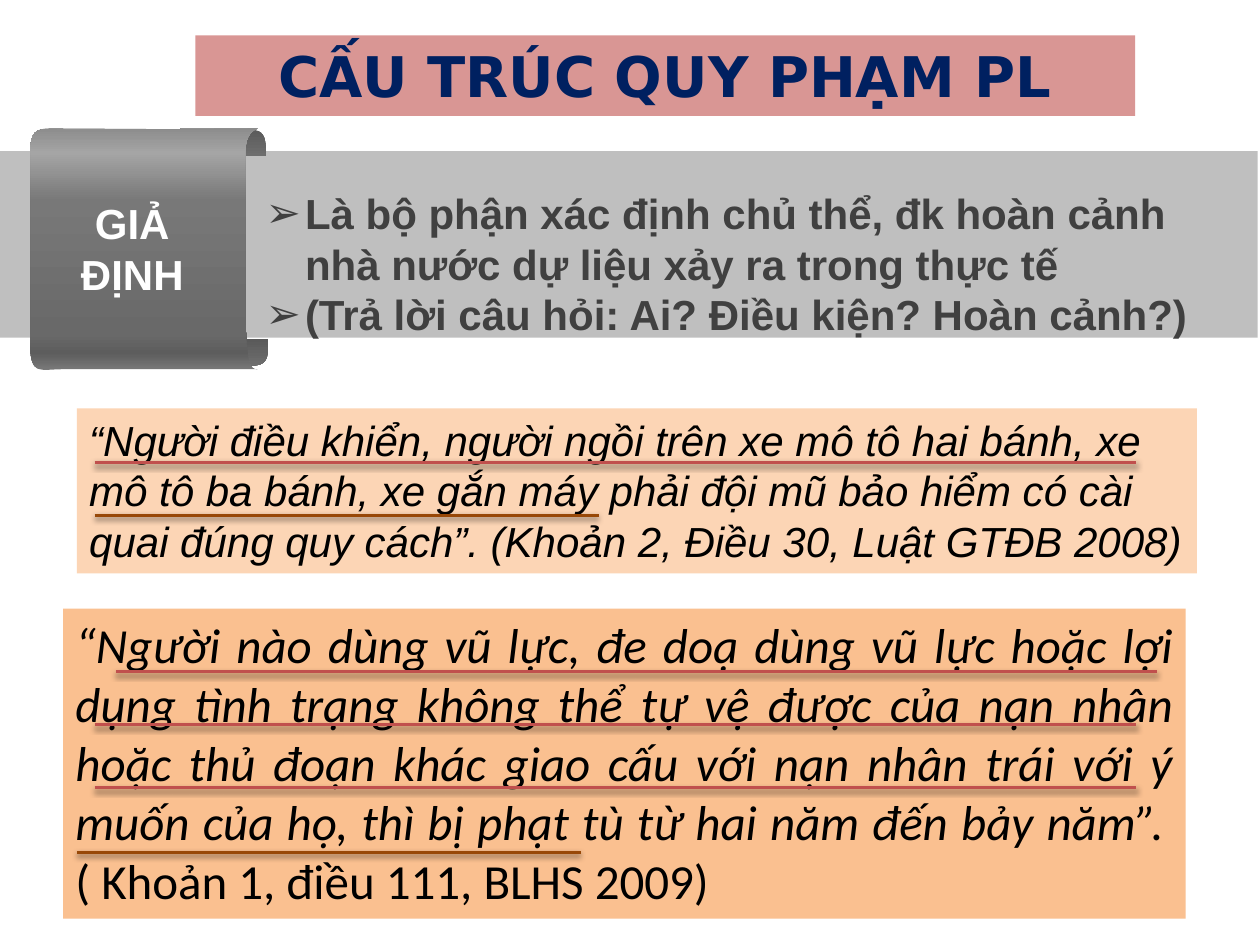
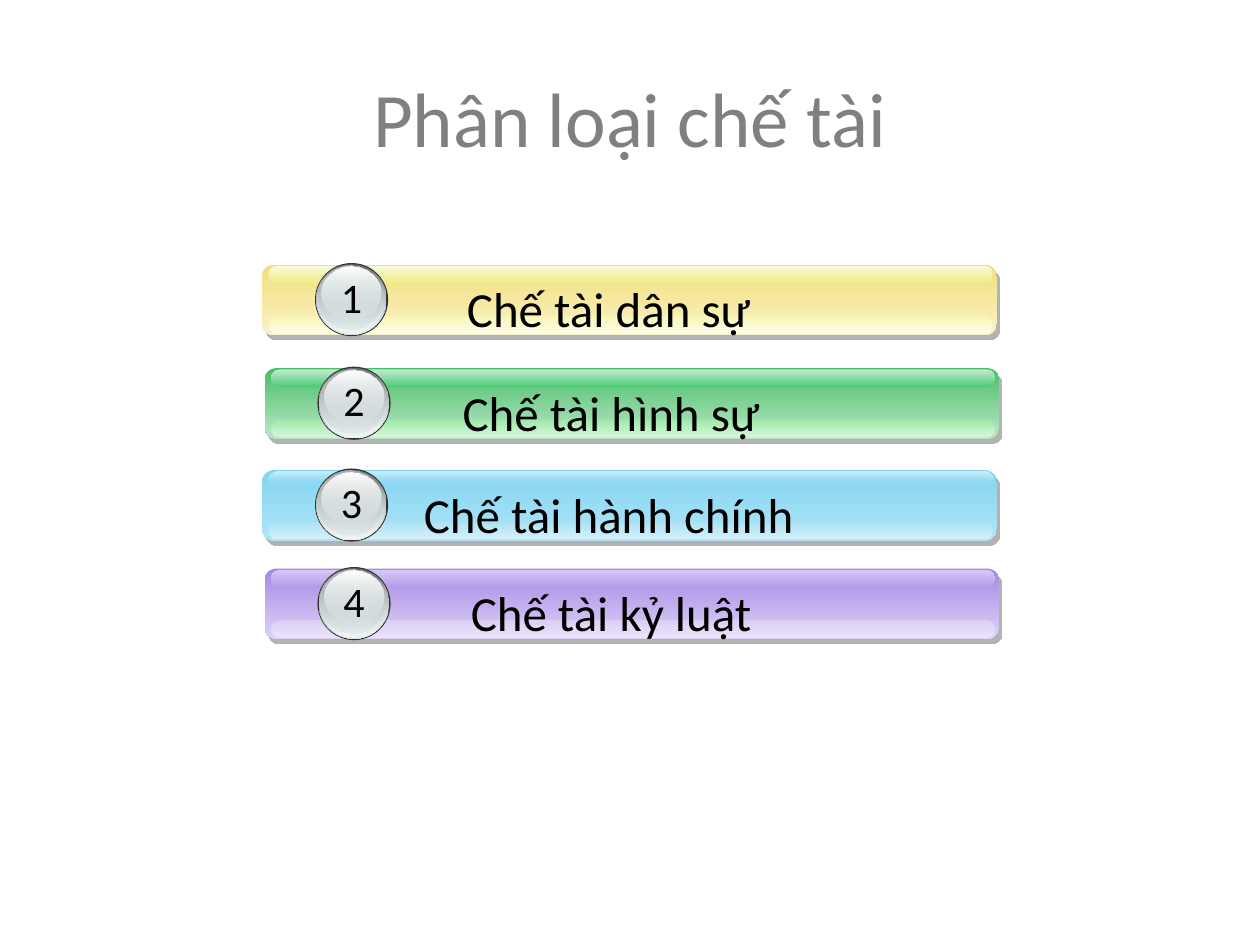
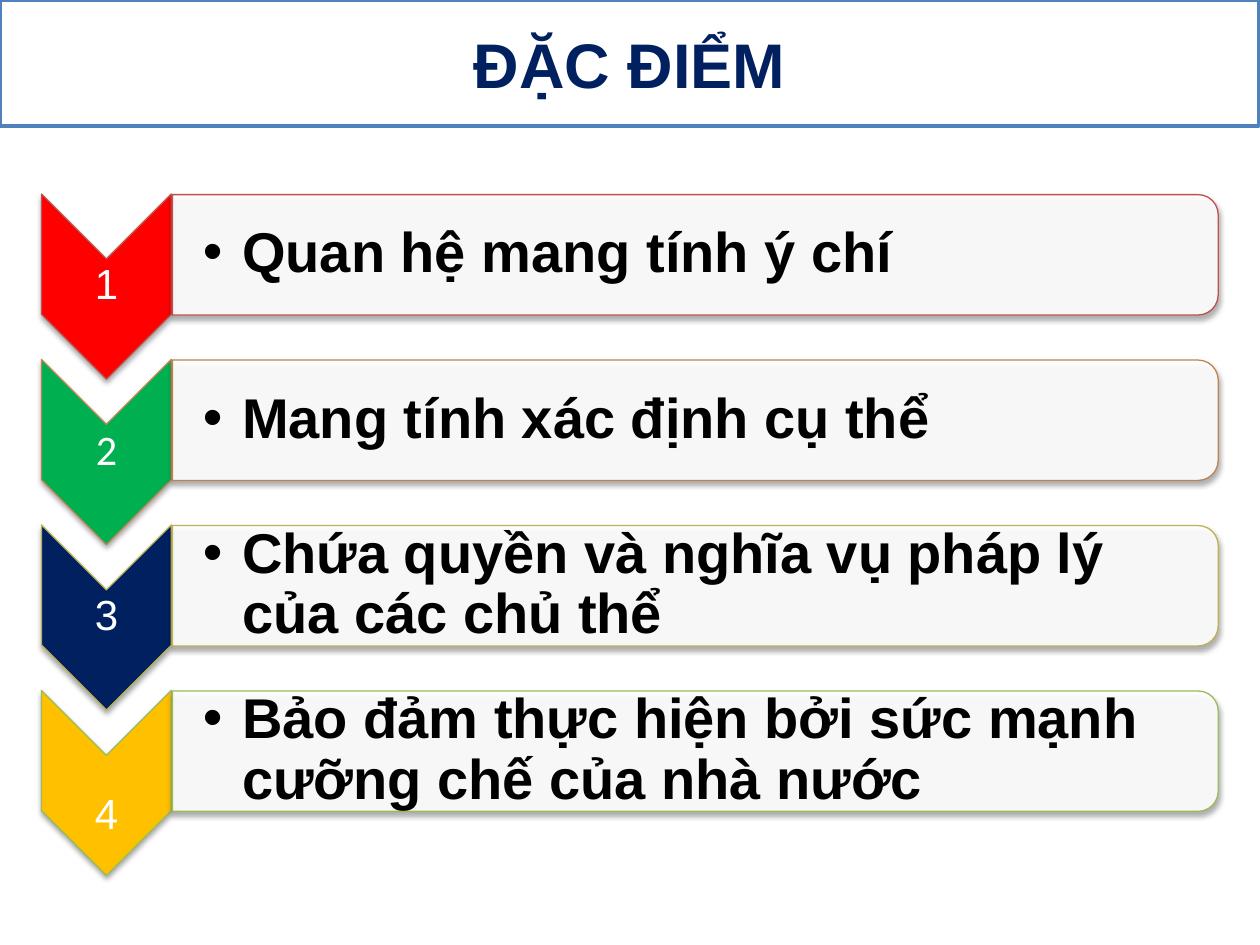
from pptx import Presentation
from pptx.dml.color import RGBColor
from pptx.enum.shapes import MSO_CONNECTOR, MSO_SHAPE
from pptx.enum.text import MSO_ANCHOR, PP_ALIGN
from pptx.oxml.ns import qn
from pptx.util import Pt
from lxml import etree

RECTANGLE = MSO_SHAPE.RECTANGLE
ROUNDED = MSO_SHAPE.ROUNDED_RECTANGLE
PANEL = MSO_SHAPE.ROUND_2_SAME_RECTANGLE
OVAL = MSO_SHAPE.OVAL
CHEVRON = MSO_SHAPE.CHEVRON
STRAIGHT = MSO_CONNECTOR.STRAIGHT
TOP, MIDDLE = MSO_ANCHOR.TOP, MSO_ANCHOR.MIDDLE
LEFT, CENTER, JUSTIFY = PP_ALIGN.LEFT, PP_ALIGN.CENTER, PP_ALIGN.JUSTIFY

COLORS = {
    "white": "FFFFFF", "black": "000000", "navy": "002060", "gray": "808080",
    "dark gray": "404040", "band": "BFBFBF", "rose": "D99694",
    "peach": "FCD5B5", "orange": "FAC090", "blue": "4F81BD",
    "red line": "C0504D", "brown line": "984807", "rim": "333333",
    "bar shadow": "B2B2B2", "red": "FF0000", "green": "00B050",
    "gold": "FFC000", "copper line": "BE8351", "olive line": "BDB255",
    "green line": "9BBB59",
}

FORMATS = {
    "banner": ({"name": "DejaVu Sans", "size": Pt(32), "bold": True}, "navy"),
    "scroll": ({"name": "Arial", "size": Pt(24), "bold": True}, "white"),
    "definition": ({"name": "Arial", "size": Pt(24), "bold": True}, "dark gray"),
    "traffic law": ({"name": "Arial", "size": Pt(24), "italic": True}, "black"),
    "penal law": ({"name": "Calibri", "size": Pt(28), "italic": True}, "black"),
    "citation": ({"name": "Calibri", "size": Pt(28), "italic": False}, "black"),
    "title": ({"name": "Calibri", "size": Pt(44)}, "gray"),
    "bar": ({"name": "Calibri", "size": Pt(28)}, "black"),
    "ball": ({"name": "Calibri", "size": Pt(24)}, "black"),
    "heading": ({"name": "Arial", "size": Pt(36), "bold": True}, "navy"),
    "step": ({"name": "Arial", "size": Pt(24)}, "white"),
    "step two": ({"name": "Calibri", "size": Pt(24)}, "white"),
    "feature": ({"name": "Arial", "size": Pt(32), "bold": True}, "black"),
}

LINE_SHADOW = ("black", 38, 3.1, 1.6, 90)
STEP_SHADOW = ("black", 35, 3.1, 1.8, 90)
BAR_SHADOW = ("bar shadow", 100, 0, 3.6, 56)
INSETS = (7.2, 3.6, 7.2, 3.6)
STEP_INSETS = (1.5, 1.5, 1.5, 1.5)
FEATURE_INSETS = (18, 1.5, 1.5, 1.5)

CURL_STOPS = [(0, "5A5A5A"), (100, "6E6E6E")]
SCROLL_STOPS = [(0, "787878"), (7, "5D5D5D"), (15, "696969"),
                (70, "787878"), (90, "A5A5A5"), (100, "8C8C8C")]

BALL_LAYERS = [
    (0.7, 0.7, 40.3, 40.3, [(0, "636869"), (100, "D6E1E2")]),
    (0.9, 0.8, 39.6, 39.6, [(0, "D6E1E2", 0), (100, "F1F5F5")]),
    (1.4, 1.4, 37.4, 36.7, [(0, "AAB2B3"), (100, "D6E1E2", 48)]),
    (3.8, 2.2, 33.8, 29.5, [(0, "FFFFFF"), (100, "D6E1E2", 38)]),
]

SANCTIONS = [
    ("Chế tài dân sự", 149.8, 151.2, [(0, "F2DE78"), (100, "FAF2CA")],
     [(0, "FAFADE"), (100, "EDED85")], [(0, "F8F6B4"), (100, "FDFDEA")]),
    ("Chế tài hình sự", 151.2, 210.4, [(0, "48BE67"), (100, "BCE7C8")],
     [(0, "C4EDD1"), (100, "4DC976")], [(0, "9FE9AA"), (100, "D6F6DB")]),
    ("Chế tài hành chính", 149.8, 268.6, [(0, "80D4F2"), (100, "B2E5F7")],
     [(0, "D5F1FB"), (100, "80D4F2", 0)], [(0, "ADE2F5"), (100, "D5F0FA")]),
    ("Chế tài kỷ luật", 151.2, 324.9, [(0, "A587E7"), (100, "DED3F6")],
     [(0, "D7C9F5"), (100, "B59CEC")], [(0, "DBCFF5"), (100, "EAE3F9")]),
]

FEATURES = [
    ("Quan hệ mang tính ý chí", "red", "red line", "step", 0),
    ("Mang tính xác định cụ thể", "green", "copper line", "step two", 0),
    ("Chứa quyền và nghĩa vụ pháp lý của các chủ thể",
     "navy", "olive line", "step", 0),
    ("Bảo đảm thực hiện bởi sức mạnh cưỡng chế của nhà nước",
     "gold", "green line", "step", 19),
]


def color(name):
    return RGBColor.from_string(COLORS[name])


def add_alpha(color_element, percent):
    etree.SubElement(color_element, qn("a:alpha"), val=str(percent * 1000))


def set_shadow(shape, shadow=None):
    effects = etree.SubElement(shape._element.spPr, qn("a:effectLst"))
    if shadow:
        name, alpha, blur, distance, direction = shadow
        outer = etree.SubElement(
            effects, qn("a:outerShdw"), blurRad=str(Pt(blur)),
            dist=str(Pt(distance)), dir=str(direction * 60000),
            algn="ctr", rotWithShape="0")
        add_alpha(etree.SubElement(outer, qn("a:srgbClr"), val=COLORS[name]), alpha)


def set_gradient(shape, stops, angle=270):
    shape.fill.gradient()
    shape.fill.gradient_angle = angle
    stop_list = shape._element.spPr.find(".//" + qn("a:gsLst"))
    for stop in list(stop_list):
        stop_list.remove(stop)
    for position, value, *alpha in stops:
        stop = etree.SubElement(stop_list, qn("a:gs"), pos=str(position * 1000))
        stop_color = etree.SubElement(stop, qn("a:srgbClr"), val=value)
        if alpha:
            add_alpha(stop_color, alpha[0])


def add_box(slide, kind, bounds, fill, line=None, shadow=None, rotation=0,
            alpha=None):
    shape = slide.shapes.add_shape(kind, *map(Pt, bounds))
    shape.rotation = rotation
    if isinstance(fill, str):
        shape.fill.solid()
        shape.fill.fore_color.rgb = color(fill)
        if alpha:
            add_alpha(shape._element.spPr.find(".//" + qn("a:srgbClr")), alpha)
    else:
        set_gradient(shape, fill)
    if line:
        shape.line.color.rgb = color(line[0])
        shape.line.width = Pt(line[1])
    else:
        shape.line.fill.background()
    set_shadow(shape, shadow)
    return shape


def add_run(paragraph, text, style):
    run = paragraph.add_run()
    run.text = text
    values, color_name = FORMATS[style]
    for name, value in values.items():
        setattr(run.font, name, value)
    run.font.color.rgb = color(color_name)


def set_text(shape, paragraphs, style, alignment=CENTER, anchor=TOP,
             insets=INSETS, bullet=None, spacing=None):
    frame = shape.text_frame
    frame.word_wrap = True
    frame.vertical_anchor = anchor
    for side, inset in zip(("left", "top", "right", "bottom"), insets):
        setattr(frame, "margin_" + side, Pt(inset))
    for index, text in enumerate(paragraphs):
        paragraph = frame.add_paragraph() if index else frame.paragraphs[0]
        paragraph.alignment = alignment
        if bullet:
            properties = paragraph._p.get_or_add_pPr()
            properties.set("marL", str(Pt(22.5)))
            properties.set("indent", str(Pt(-22.5)))
            etree.SubElement(properties, qn("a:buFont"), typeface="Arial")
            etree.SubElement(properties, qn("a:buChar"), char=bullet)
        if spacing:
            paragraph.line_spacing = spacing
        add_run(paragraph, text, style)
    return frame


def add_text(slide, bounds, paragraphs, style, **options):
    box = slide.shapes.add_textbox(*map(Pt, bounds))
    set_text(box, paragraphs, style, **options)


def add_underline(slide, left, right, top, color_name):
    line = slide.shapes.add_connector(STRAIGHT, *map(Pt, (left, top, right, top)))
    line.line.color.rgb = color(color_name)
    line.line.width = Pt(2)
    set_shadow(line, LINE_SHADOW)


def curve_points(start, controls, steps=12):
    corners = (start, *controls)
    for step in range(1, steps + 1):
        t = step / steps
        weights = ((1 - t) ** 3, 3 * t * (1 - t) ** 2, 3 * t * t * (1 - t), t ** 3)
        yield tuple(sum(weight * corner[axis]
                        for weight, corner in zip(weights, corners))
                    for axis in (0, 1))


def add_outline(slide, start, segments, stops, angle):
    points = [start]
    for segment in segments:
        points += segment if len(segment) == 1 else curve_points(points[-1], segment)
    vertices = [(Pt(x), Pt(y)) for x, y in points]
    builder = slide.shapes.build_freeform(*vertices[0])
    builder.add_line_segments(vertices[1:], close=True)
    shape = builder.convert_to_shape()
    set_gradient(shape, stops, angle)
    shape.line.fill.background()
    set_shadow(shape)


def add_curl(slide, left, edge, direction):
    def place(x, rise):
        return left + x, edge + direction * rise

    add_outline(slide, place(134.6, 0), [
        [place(0, 0)],
        [place(0.7, 13), place(1.4, 15.9), place(12.2, 15.9)],
        [place(125.3, 15.2)],
        [place(134.6, 15.2), place(134.6, 10.1), place(134.6, 0)],
    ], CURL_STOPS, 270)


def add_scroll(slide):
    add_curl(slide, 17.3, 89.3, -1)
    add_curl(slide, 18.7, 193.7, 1)
    add_outline(slide, (146.9, 73.4), [
        [(40.3, 74.2)],
        [(21.6, 74.2), (17.3, 70.6), (17.3, 89.3)],
        [(17.3, 190)],
        [(16.6, 216), (20.9, 211), (36.7, 211)],
        [(147.6, 211)],
        [(142.6, 211.7), (141.1, 206.6), (140.4, 185)],
        [(140.4, 104.4)],
        [(140.4, 86.4), (138.2, 77.8), (146.9, 73.4)],
    ], SCROLL_STOPS, 90)
    add_text(slide, (17.3, 109.4, 116.6, 65.5), ["GIẢ ĐỊNH"], "scroll")


def add_sanction(slide, number, sanction):
    text, left, top, base, upper_sheen, lower_sheen = sanction
    bar = add_box(slide, ROUNDED, (left, top, 419.8, 40.3), base, shadow=BAR_SHADOW)
    bar.adjustments[0] = 0.17
    for offset, stops in ((29.5, lower_sheen), (0.7, upper_sheen)):
        sheen = add_box(slide, ROUNDED, (left + 3.6, top + offset, 414, 10.1), stops)
        sheen.adjustments[0] = 0.5
    add_text(slide, (left + 72, top + 4.5, 252, 41), [text], "bar")
    ball_left, ball_top = left + 30.2, top - 0.9
    add_box(slide, OVAL, (ball_left, ball_top, 41.8, 41.8), "rim")
    for x, y, width, height, stops in BALL_LAYERS:
        add_box(slide, OVAL, (ball_left + x, ball_top + y, width, height), stops)
    add_text(slide, (ball_left + 5.8, ball_top + 1.2, 30.2, 36), [str(number)], "ball")


def add_feature(slide, number, feature):
    text, fill, line, style, number_drop = feature
    shift = (number - 1) * 94.55
    outline = (line, 0.75)
    add_box(slide, CHEVRON, (7.9, 126.7 + shift, 105.8, 74.2), fill, outline,
            STEP_SHADOW, 90)
    add_text(slide, (23.8, 147.8 + shift + number_drop, 74.2, 31.7), [str(number)],
             style, anchor=MIDDLE, insets=STEP_INSETS, spacing=0.9)
    add_box(slide, PANEL, (362.9, -153.2 + shift, 68.8, 597.6), "white", outline,
            STEP_SHADOW, 90, alpha=90)
    add_text(slide, (97.9, 114.4 + shift, 594.7, 62), [text], "feature",
             alignment=LEFT, anchor=MIDDLE, insets=FEATURE_INSETS,
             bullet="•", spacing=0.9)


def build_structure_slide(slide):
    add_box(slide, RECTANGLE, (0, 86.4, 718.6, 106.6), "band")
    add_scroll(slide)
    add_text(slide, (144.7, 103.7, 577.4, 94.3), [
        "Là bộ phận xác định chủ thể, đk hoàn cảnh nhà nước dự liệu xảy ra trong thực tế",
        "(Trả lời câu hỏi: Ai? Điều kiện? Hoàn cảnh?)",
    ], "definition", alignment=LEFT, bullet="➢")
    banner = add_box(slide, RECTANGLE, (111.6, 20.2, 537.1, 46), "rose")
    set_text(banner, ["CẤU TRÚC QUY PHẠM PL"], "banner")
    traffic = add_box(slide, RECTANGLE, (43.9, 233.3, 640.1, 94.3), "peach")
    set_text(traffic, [
        "“Người điều khiển, người ngồi trên xe mô tô hai bánh, xe mô tô ba bánh, "
        "xe gắn máy phải đội mũ bảo hiểm có cài quai đúng quy cách”. "
        "(Khoản 2, Điều 30, Luật GTĐB 2008)"], "traffic law", alignment=LEFT)
    penal = add_box(slide, RECTANGLE, (36, 347.8, 641.5, 177.1), "orange")
    frame = set_text(penal, [
        "“Người nào dùng vũ lực, đe doạ dùng vũ lực hoặc lợi dụng tình trạng không "
        "thể tự vệ được của nạn nhân hoặc thủ đoạn khác giao cấu với nạn nhân trái "
        "với ý muốn của họ, thì bị phạt tù từ hai năm đến bảy năm”."],
        "penal law", alignment=JUSTIFY)
    add_run(frame.paragraphs[0], "\t( Khoản 1, điều 111, BLHS 2009)", "citation")
    for left, right, top, color_name in (
            (54, 649.4, 264.2, "red line"), (54, 342, 294.5, "brown line"),
            (66.2, 661, 383.8, "red line"), (54, 649.4, 414, "red line"),
            (54, 649.4, 450, "red line"), (43.9, 331.9, 487.1, "brown line")):
        add_underline(slide, left, right, top, color_name)


def build_sanctions_slide(slide):
    add_text(slide, (36, 21.6, 648, 90), ["Phân loại chế tài"], "title", anchor=MIDDLE)
    for number, sanction in enumerate(SANCTIONS, 1):
        add_sanction(slide, number, sanction)


def build_features_slide(slide):
    heading = add_box(slide, RECTANGLE, (0, 0, 719.3, 72), "white", ("blue", 2))
    set_text(heading, ["ĐẶC ĐIỂM"], "heading", anchor=MIDDLE)
    for number, feature in enumerate(FEATURES, 1):
        add_feature(slide, number, feature)


def main():
    presentation = Presentation()
    presentation.slide_width = Pt(720)
    presentation.slide_height = Pt(540)
    blank = presentation.slide_layouts[6]
    for build in (build_structure_slide, build_sanctions_slide, build_features_slide):
        build(presentation.slides.add_slide(blank))
    presentation.save("out.pptx")


if __name__ == "__main__":
    main()
